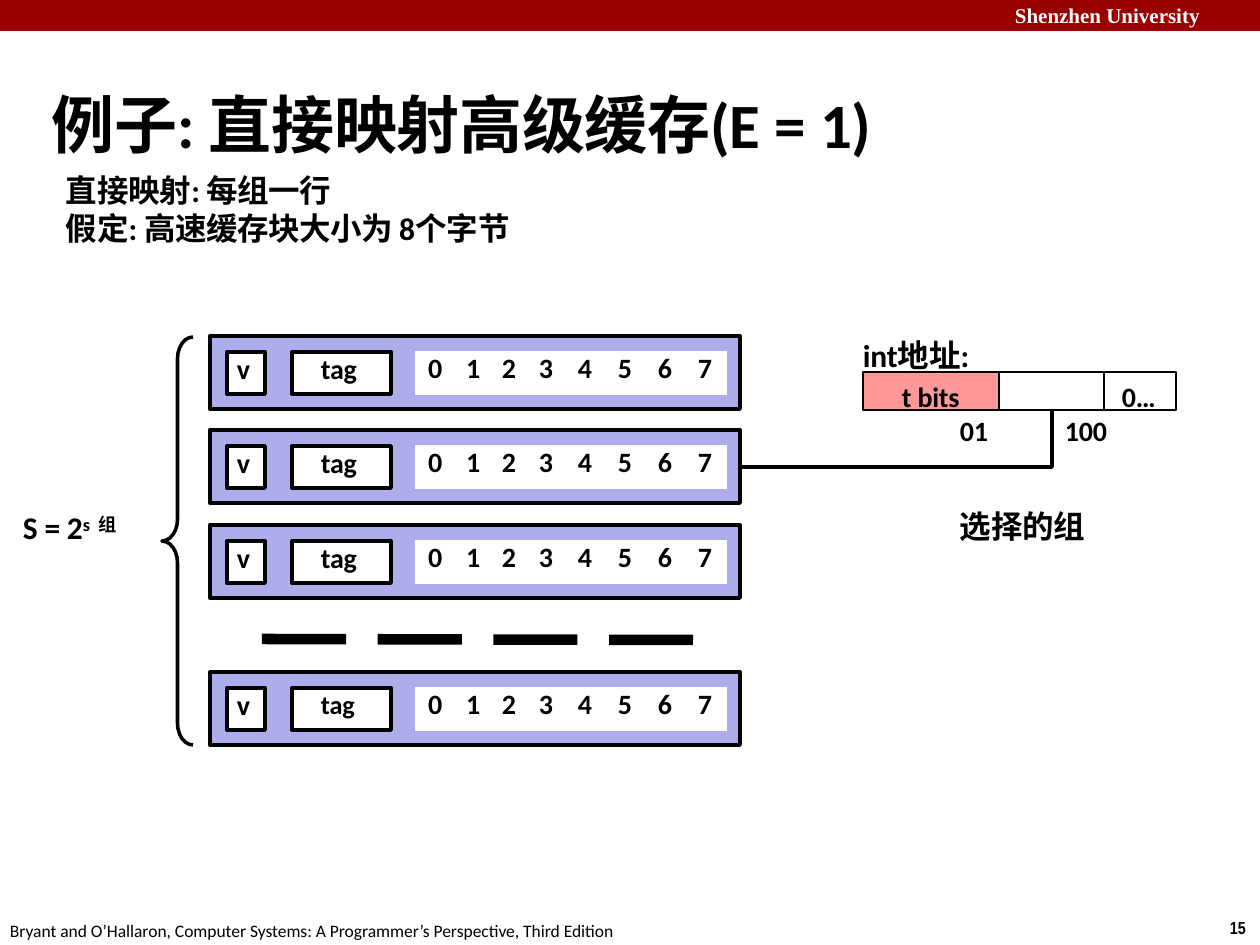
from lxml import etree
from pptx import Presentation
from pptx.dml.color import RGBColor
from pptx.enum.dml import MSO_LINE
from pptx.enum.shapes import MSO_CONNECTOR, MSO_SHAPE
from pptx.enum.text import MSO_ANCHOR, MSO_AUTO_SIZE, PP_ALIGN
from pptx.oxml.ns import qn
from pptx.util import Pt

RECTANGLE, BRACE = MSO_SHAPE.RECTANGLE, MSO_SHAPE.LEFT_BRACE
STRAIGHT, LONG_DASH = MSO_CONNECTOR.STRAIGHT, MSO_LINE.LONG_DASH
TOP, MIDDLE, LEFT = MSO_ANCHOR.TOP, MSO_ANCHOR.MIDDLE, PP_ALIGN.LEFT
FIXED_SIZE = MSO_AUTO_SIZE.NONE

SCALE = 914400 / 126
COLORS = {"band": "990000", "white": "FFFFFF", "black": "000000",
          "line": "ADADEB", "tag": "FF9999"}

# A paragraph is a dict; each of its runs is (text, letter spacing in pt, baseline in %).
TITLE = [{"runs": [("例子: ", -0.2, 0), ("直接映射高级缓存", -0.2, 0),
                   ("(E ", -0.1, 0), ("= ", 0, 0), ("1)", -0.1, 0)],
          "size": 36, "margin": 1, "indent": -16}]
INTRO = [
    {"runs": [("直接映射: ", -0.1, 0), ("每组一行", -0.3, 0)], "margin": 1},
    {"runs": [("假定: ", -0.1, 0), ("高速缓存块大小为 ", -0.3, 0),
              ("8个", -0.1, 0), ("字节", 0, 0)], "margin": 1},
]
SET_COUNT = [{"runs": [("S = 2", -0.1, 0), ("s", 0, 25), (" ", 2.5, 25), ("组", -2, 25)],
              "margin": 1}]
HEADER = [{"runs": [("Shenzhen University", 0, 0)], "size": 12,
           "font": "Times New Roman", "color": "white"}]
FOOTER = [{"runs": [("Bryant and O’Hallaron, Computer Systems: "
                     "A Programmer’s Perspective, Third Edition", 0, 0)],
           "size": 10, "bold": False}]
PAGE = [{"runs": [("15", 0, 0)], "size": 10, "font": "Arial Narrow"}]

ADDRESS_FIELDS = [(136, "tag"), (105, None), (72, None)]  # width, fill
ADDRESS_LABELS = [  # text, left, top, width, size
    ("int地址:", 863, 336, 150, 18),
    ("t bits", 902, 380, 80, 16),
    ("0…", 1122, 380, 50, 16),
    ("01", 960, 414, 50, 16),
    ("100", 1065, 414, 60, 16),
    ("选择的组", 960, 507, 150, 18),
]
CACHE_LINES = [(336, 16), (430, 16), (525, 16), (672, 15)]  # top, size of "tag"
BYTE_WIDTHS = [38, 36, 37, 38, 40, 40, 40, 41]


def px(value):
    return round(value * SCALE)


def rgb(name):
    return RGBColor.from_string(COLORS[name])


def write(text_frame, paragraphs, insets=(0, 0, 0, 0), anchor=TOP, wrap=True):
    text_frame.word_wrap = wrap
    text_frame.auto_size = FIXED_SIZE
    text_frame.vertical_anchor = anchor
    (text_frame.margin_left, text_frame.margin_top,
     text_frame.margin_right, text_frame.margin_bottom) = map(px, insets)
    fill_paragraphs(text_frame, paragraphs)


def fill_paragraphs(text_frame, paragraphs):
    for index, item in enumerate(paragraphs):
        paragraph = text_frame.add_paragraph() if index else text_frame.paragraphs[0]
        paragraph.alignment = LEFT
        properties = paragraph._p.get_or_add_pPr()
        properties.set("marL", str(px(item.get("margin", 0))))
        properties.set("indent", str(px(item.get("indent", 0))))
        for text, spacing, baseline in item["runs"]:
            run = paragraph.add_run()
            run.text = text
            run.font.name = item.get("font", "Calibri")
            run.font.size = Pt(item.get("size", 18))
            run.font.bold = item.get("bold", True)
            run.font.color.rgb = rgb(item.get("color", "black"))
            run_properties = run._r.get_or_add_rPr()
            if spacing:
                run_properties.set("spc", str(round(spacing * 100)))
            if baseline:
                run_properties.set("baseline", str(baseline * 1000))


def add_text(slide, box, paragraphs, **options):
    shape = slide.shapes.add_textbox(*map(px, box))
    write(shape.text_frame, paragraphs, **options)


def style(shape, fill=None, line_width=None):
    shape.shadow.inherit = False
    if fill:
        shape.fill.solid()
        shape.fill.fore_color.rgb = rgb(fill)
    else:
        shape.fill.background()
    if line_width:
        shape.line.color.rgb = rgb("black")
        shape.line.width = Pt(line_width)
    else:
        shape.line.fill.background()


def add_shape(slide, kind, box, fill=None, line_width=None):
    shape = slide.shapes.add_shape(kind, *map(px, box))
    style(shape, fill, line_width)
    return shape


def add_cache_line(slide, top, tag_size):
    add_shape(slide, RECTANGLE, (210, top, 530, 73), "line", 2.25)
    for text, left, width, margin, size in (("v", 227, 38, 10, 16),
                                            ("tag", 292, 99, 29, tag_size)):
        field = add_shape(slide, RECTANGLE, (left, top + 16, width, 42), "white", 2.25)
        write(field.text_frame,
              [{"runs": [(text, -0.1, 0)], "size": size, "margin": margin}])
    box = (416, top + 16, sum(BYTE_WIDTHS), 42)
    table = slide.shapes.add_table(1, len(BYTE_WIDTHS), *map(px, box)).table
    table.first_row = table.horz_banding = False
    for number, width in enumerate(BYTE_WIDTHS):
        table.columns[number].width = px(width)
        cell = table.cell(0, number)
        cell.fill.solid()
        cell.fill.fore_color.rgb = rgb("white")
        cell.margin_left = cell.margin_top = cell.margin_right = cell.margin_bottom = 0
        fill_paragraphs(cell.text_frame, [{"runs": [(str(number), 0, 0)], "size": 16,
                                           "margin": 12 if number < 4 else 13}])


def add_address(slide):
    left = 863
    for width, fill in ADDRESS_FIELDS:
        add_shape(slide, RECTANGLE, (left, 372, width, 38), fill, 1)
        left += width
    builder = slide.shapes.build_freeform(1052, 410, scale=SCALE)
    builder.add_line_segments([(1052, 467), (741, 467)], close=False)
    style(builder.convert_to_shape(), line_width=2)
    for text, left, top, width, size in ADDRESS_LABELS:
        add_text(slide, (left, top, width, 38),
                 [{"runs": [(text, -0.1, 0)], "size": size}])


def main():
    presentation = Presentation()
    presentation.slide_width, presentation.slide_height = px(1260), px(945)
    slide = presentation.slides.add_slide(presentation.slide_layouts[5])

    add_shape(slide, RECTANGLE, (0, 0, 1260, 31), "band")
    default_insets = (13, 6, 13, 6)
    add_text(slide, (1002, -3, 267, 38), HEADER, insets=default_insets)
    add_text(slide, (1217, 911, 43, 34), PAGE, insets=default_insets, wrap=False)
    add_text(slide, (-3, 914, 641, 34), FOOTER, insets=default_insets, wrap=False)

    title = slide.shapes.title
    title.left, title.top, title.width, title.height = map(px, (52, 46, 1046, 116))
    write(title.text_frame, TITLE, insets=(0, 39, 0, 0), anchor=MIDDLE)
    add_text(slide, (65, 171, 451, 77), INTRO)

    brace = add_shape(slide, BRACE, (162, 337, 31, 408), line_width=2)
    brace.adjustments[0] = 0.7
    add_text(slide, (22, 508, 132, 38), SET_COUNT)

    for top, tag_size in CACHE_LINES:
        add_cache_line(slide, top, tag_size)
    omitted = slide.shapes.add_connector(STRAIGHT, px(262), px(639), px(693), px(640))
    omitted.line.color.rgb = rgb("black")
    omitted.line.width = Pt(6)
    omitted.line.dash_style = LONG_DASH
    etree.SubElement(omitted._element.spPr, qn("a:effectLst"))

    add_address(slide)
    presentation.save("out.pptx")


if __name__ == "__main__":
    main()
